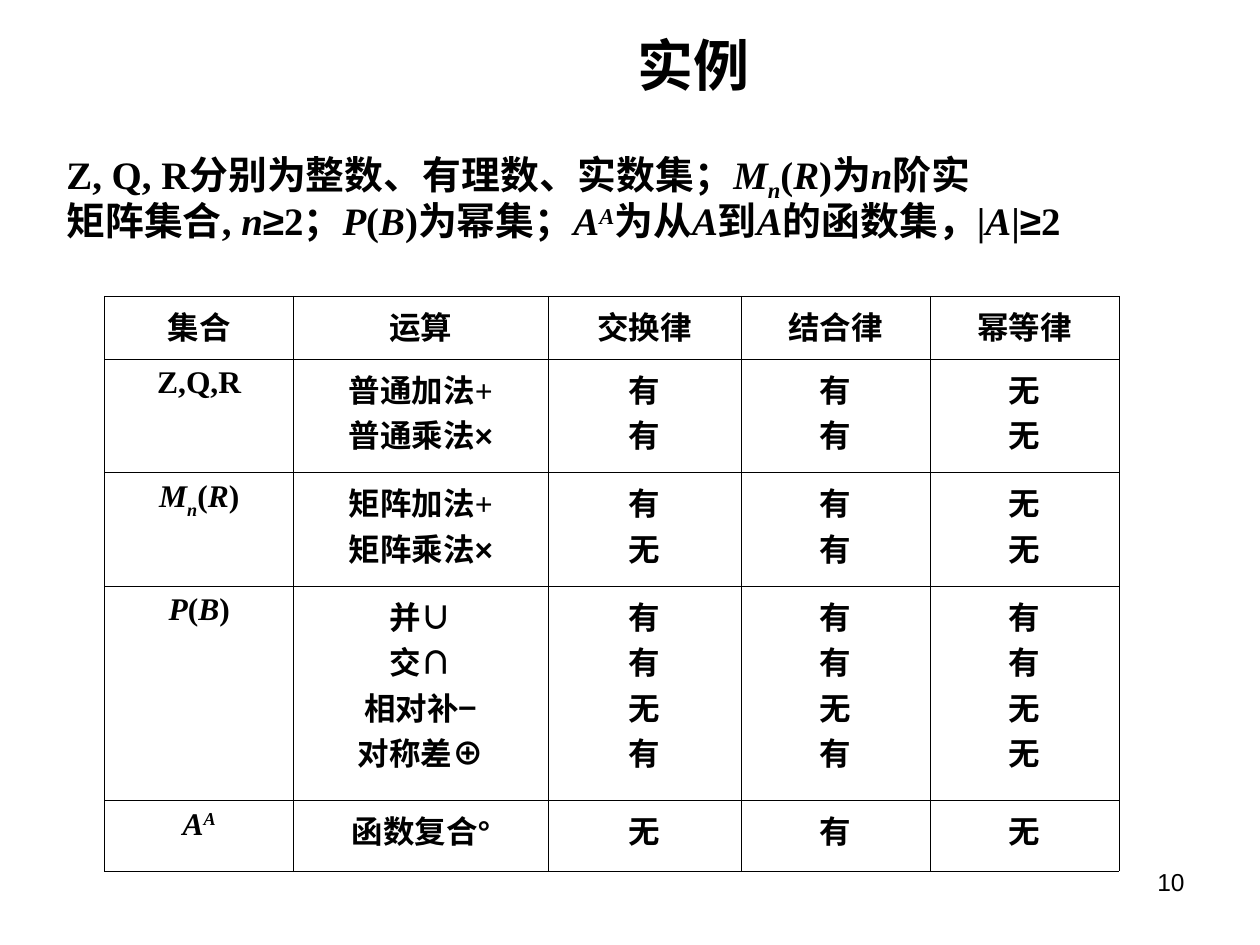
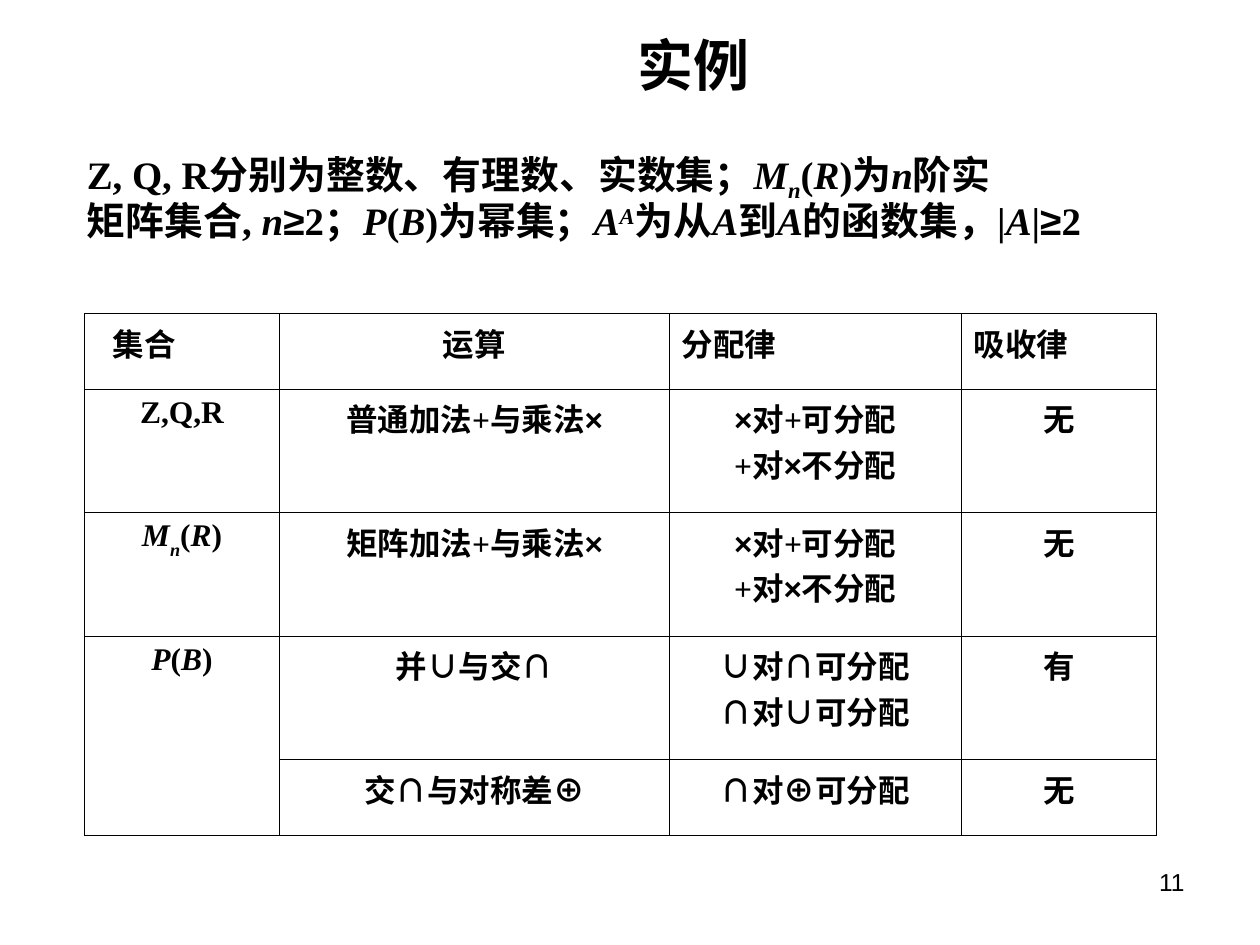
import itertools

import lxml.etree
import pptx
import pptx.dml.color
import pptx.enum.text
import pptx.oxml.ns
import pptx.util

Cm, Pt = pptx.util.Cm, pptx.util.Pt
ALIGN, ANCHOR = pptx.enum.text.PP_ALIGN, pptx.enum.text.MSO_ANCHOR


class Theme:
    ink = pptx.dml.color.RGBColor(0, 0, 0)
    sans, serif = "Arial", "Times New Roman"
    title, body, cell, number = Pt(32), Pt(22.2), Pt(18), Pt(14)
    border = Pt(0.45)


SYMBOLS = "≥×∪∩−⊕°"
INTRO = ("Z, Q, R分别为整数、有理数、实数集；*M_n*(*R*)为*n*阶实\n"
         "矩阵集合, *n*≥2；*P*(*B*)为幂集；*A^A*为从*A*到*A*的函数集，|*A*|≥2")


def write(tf, text, size, font=Theme.serif, bold=True, align=ALIGN.CENTER,
          line=1.0, gap=0, sub=-25):
    """Fill tf; * toggles italic, _ lowers and ^ raises the next character."""
    tf.word_wrap = True
    for i, row in enumerate(text.split("\n")):
        p = tf.paragraphs[0] if i == 0 else tf.add_paragraph()
        p.alignment, p.line_spacing = align, line
        p.space_before = Pt(gap if i else 0)
        chars, italic, base = [], False, 0
        for ch in row:
            if ch == "*":
                italic = not italic
            elif ch in "_^":
                base = sub if ch == "_" else 30
            else:
                face = Theme.sans if ch in SYMBOLS else font
                chars.append((ch, (face, italic, base)))
                base = 0
        for style, group in itertools.groupby(chars, key=lambda c: c[1]):
            r = p.add_run()
            r.text = "".join(ch for ch, _ in group)
            r.font.name, r.font.italic, shift = style
            r.font.size, r.font.bold = size, bold
            r.font.color.rgb = Theme.ink
            if shift:
                r.font._element.set("baseline", str(shift * 1000))


def add_grid(s, left, top, widths, heights, rows):
    """Add a bordered, unfilled table and return it."""
    table = s.shapes.add_table(len(rows), len(widths), Cm(left), Cm(top),
                               Cm(sum(widths)), Cm(sum(heights))).table
    table.first_row = table.horz_banding = False
    for column, width in zip(table.columns, widths):
        column.width = Cm(width)
    for i, (height, texts) in enumerate(zip(heights, rows)):
        table.rows[i].height = Cm(height)
        for j, text in enumerate(texts):
            cell = table.cell(i, j)
            tcPr = cell._tc.get_or_add_tcPr()
            for side in ("lnL", "lnR", "lnT", "lnB"):
                ln = lxml.etree.SubElement(tcPr, pptx.oxml.ns.qn(f"a:{side}"),
                                           w=str(Theme.border))
                fill = lxml.etree.SubElement(ln, pptx.oxml.ns.qn("a:solidFill"))
                lxml.etree.SubElement(fill, pptx.oxml.ns.qn("a:srgbClr"),
                                      val=str(Theme.ink))
            cell.fill.background()
            if text:
                write(cell.text_frame, text, Theme.cell, sub=-30)
    return table


prs = pptx.Presentation()
prs.slide_width, prs.slide_height = Cm(25.4), Cm(19.05)

# Title, introduction and page number
for page, intro_left in ((10, 1.09), (11, 1.5)):
    s = prs.slides.add_slide(prs.slide_layouts[6])
    title = s.shapes.add_textbox(Cm(5.49), Cm(0.71), Cm(17), Cm(1.17)).text_frame
    title.vertical_anchor = ANCHOR.MIDDLE
    write(title, "实例", Theme.title, font=Theme.sans)
    intro = s.shapes.add_textbox(Cm(intro_left), Cm(2.92), Cm(23.4), Cm(2.6))
    write(intro.text_frame, INTRO, Theme.body, align=ALIGN.LEFT, line=0.9, gap=2)
    number = s.shapes.add_textbox(Cm(18.21), Cm(17.35), Cm(5.92), Cm(1.32))
    write(number.text_frame, str(page), Theme.number, font=Theme.sans,
          bold=False, align=ALIGN.RIGHT)

laws_slide, pairs_slide = prs.slides

# Laws of a single operation
add_grid(laws_slide, 2.11, 5.97, [3.81, 5.13, 3.89, 3.81, 3.81],
         [1.27, 2.29, 2.29, 4.32, 1.42], [
    ["集合", "运算", "交换律", "结合律", "幂等律"],
    ["Z,Q,R", "普通加法+\n普通乘法×", "有\n有", "有\n有", "无\n无"],
    ["*M_n*(*R*)", "矩阵加法+\n矩阵乘法×", "有\n无", "有\n有", "无\n无"],
    ["*P*(*B*)", "并∪\n交∩\n相对补−\n对称差⊕",
     "有\n有\n无\n有", "有\n有\n无\n有", "有\n有\n无\n无"],
    ["*A^A*", "函数复合°", "无", "有", "无"],
])

# Laws that tie two operations together
distribution = "×对+可分配\n+对×不分配"
pairs = add_grid(pairs_slide, 1.7, 6.32, [3.94, 7.85, 5.89, 3.94],
                 [1.52, 2.49, 2.49, 2.49, 1.52], [
    ["集合", "运算", "分配律", "吸收律"],
    ["Z,Q,R", "普通加法+与乘法×", distribution, "无"],
    ["*M_n*(*R*)", "矩阵加法+与乘法×", distribution, "无"],
    ["*P*(*B*)", "并∪与交∩", "∪对∩可分配\n∩对∪可分配", "有"],
    ["", "交∩与对称差⊕", "∩对⊕可分配", "无"],
])
pairs.cell(3, 0).merge(pairs.cell(4, 0))
for j in (0, 2, 3):
    pairs.cell(0, j).text_frame.paragraphs[0].alignment = ALIGN.LEFT
pairs.cell(0, 0).margin_left = Cm(0.57)

prs.save("out.pptx")
